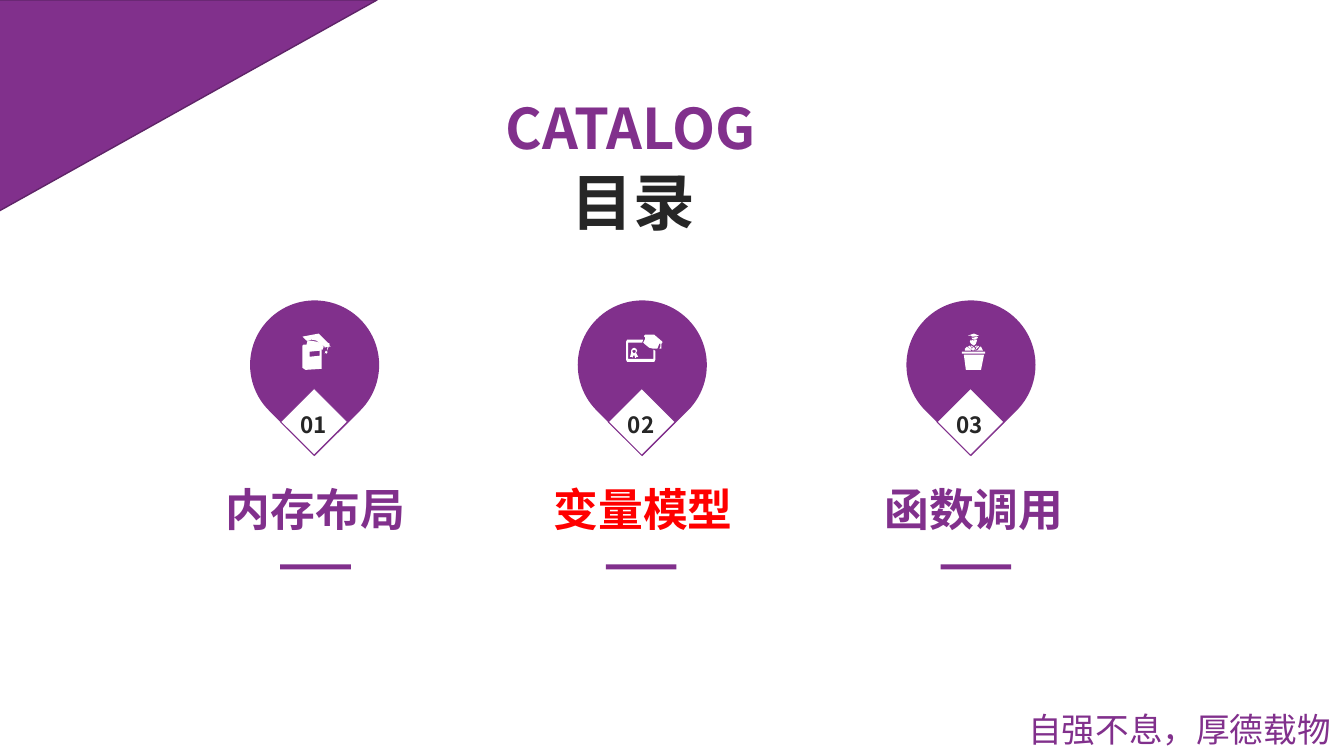
import pptx
import pptx.util
import pptx.dml.color
import pptx.enum.shapes
import pptx.enum.text
import pptx.oxml.ns
from lxml import etree

Inches = pptx.util.Inches
Kind = pptx.enum.shapes.MSO_SHAPE
Align = pptx.enum.text.PP_ALIGN


class Theme:
    font = "Noto Sans CJK SC"
    purple = "81308C"
    edge = "5F2468"
    dark = "262626"
    red = "FF0000"
    white = "FFFFFF"
    title, head, label, motto, number = 44, 40, 32, 24, 16


def write(shapes, box, text, size, color, bold=True, align=Align.LEFT, wrap=False):
    frame = shapes.add_textbox(*map(Inches, box)).text_frame
    frame.word_wrap = wrap
    frame.text = text
    para = frame.paragraphs[0]
    para.alignment = align
    run = para.runs[0]
    run.font.size = pptx.util.Pt(size)
    run.font.bold = bold
    run.font.color.rgb = pptx.dml.color.RGBColor.from_string(color)
    run.font.name = Theme.font
    etree.SubElement(run._r.get_or_add_rPr(), pptx.oxml.ns.qn("a:ea"), typeface=Theme.font)


def paint(shape, fill, line=None, width=1, turn=0):
    shape.shadow.inherit = False
    shape.rotation = turn
    shape.fill.solid()
    shape.fill.fore_color.rgb = pptx.dml.color.RGBColor.from_string(fill)
    if line:
        shape.line.color.rgb = pptx.dml.color.RGBColor.from_string(line)
        shape.line.width = pptx.util.Pt(width)
    else:
        shape.line.fill.background()


# Icon outlines, in hundredths of an inch on the slide
book = [
    [(317, 348), (307, 349), (307, 354), (317, 353)],
    [(304, 342), (308, 343), (312, 344), (318, 346), (319, 347), (319, 366),
     (303, 367), (300, 365), (300, 343), (301, 342)],
    [(305, 338), (308, 338), (314, 339), (318, 341), (321, 344), (320, 347),
     (312, 344), (304, 342)],
    [(316, 331), (325, 340), (327, 341), (327, 342), (326, 342), (328, 344),
     (326, 344), (324, 349), (325, 349), (324, 351), (323, 350), (322, 351),
     (323, 348), (324, 349), (325, 344), (322, 345), (322, 344), (314, 338),
     (309, 337), (304, 338), (300, 334)],
]
award = [
    [(629, 347), (627, 348), (628, 350), (630, 350), (631, 348)],
    [(629, 345), (631, 346), (632, 348), (631, 350), (633, 354), (631, 354),
     (631, 355), (630, 355), (629, 352), (627, 355), (627, 354), (625, 354),
     (626, 350), (626, 348), (627, 346)],
    [(622, 337), (638, 337), (637, 340), (623, 340), (623, 356), (648, 356),
     (648, 347), (650, 348), (650, 357), (649, 359), (622, 359), (621, 357),
     (621, 339)],
    [(640, 332), (649, 332), (650, 333), (657, 339), (657, 340), (656, 341),
     (656, 346), (654, 346), (655, 344), (655, 341), (654, 341), (652, 346),
     (648, 346), (644, 345), (639, 341), (638, 340), (640, 336), (640, 335),
     (639, 334), (639, 333)],
]
speaker = [
    [(956, 352), (976, 352), (973, 367), (958, 367)],
    [(954, 349), (977, 349), (977, 351), (954, 351)],
    [(966, 344), (967, 346), (966, 348), (964, 346)],
    [(972, 344), (973, 344), (974, 346), (975, 348), (968, 348), (970, 347)],
    [(959, 344), (963, 347), (963, 348), (957, 348), (957, 346)],
    [(970, 343), (971, 344), (969, 346), (967, 348), (968, 346)],
    [(962, 343), (965, 348), (960, 344)],
    [(969, 343), (968, 345), (967, 344), (968, 343)],
    [(963, 343), (964, 343), (965, 344), (964, 345)],
    [(963, 337), (964, 339), (964, 337), (966, 338), (967, 337), (969, 337),
     (969, 338), (968, 341), (966, 343), (963, 341), (962, 339)],
    [(969, 334), (970, 335), (969, 336), (966, 337), (964, 336), (964, 335),
     (963, 335), (966, 335)],
    [(966, 331), (971, 333), (966, 334), (964, 334), (963, 333), (960, 333)],
]

deck = pptx.Presentation()
deck.slide_width = Inches(13.33)
deck.slide_height = Inches(7.5)
shapes = deck.slides.add_slide(deck.slide_layouts[6]).shapes

# Corner and motto
corner = shapes.add_shape(Kind.RIGHT_TRIANGLE, Inches(0.81), Inches(-0.83),
                          Inches(2.1), Inches(3.76))
paint(corner, Theme.purple, Theme.edge, turn=90)
write(shapes, (10.1, 6.98, 3.24, 0.5), "自强不息，厚德载物", Theme.motto, Theme.purple,
      bold=False, wrap=True)

# Title
write(shapes, (5.57, 1.58, 1.44, 0.84), "目录", Theme.title, Theme.dark)
write(shapes, (4.92, 0.88, 2.87, 0.77), "CATALOG", Theme.head, Theme.purple)

# Chapters: pin left, label left, bar left, label, label colour, icon
chapters = [
    (2.48, 2.13, 2.78, "内存布局", Theme.purple, book),
    (5.73, 5.38, 6.01, "变量模型", Theme.red, award),
    (8.99, 8.66, 9.33, "函数调用", Theme.purple, speaker),
]
for count, (left, start, edge, name, color, icon) in enumerate(chapters, 1):
    # Pin with its number
    pin = shapes.add_group_shape().shapes
    drop = pin.add_shape(Kind.TEAR, Inches(left), Inches(2.98), Inches(1.28), Inches(1.28))
    paint(drop, Theme.purple, turn=135)
    tip = pin.add_shape(Kind.RECTANGLE, Inches(left + 0.4), Inches(3.95),
                        Inches(0.47), Inches(0.47))
    paint(tip, Theme.white, Theme.purple, 0.75, turn=45)
    write(pin, (left + 0.4, 4.03, 0.48, 0.37), f"{count:02}", Theme.number, Theme.dark)

    # Icon
    pen = pin.build_freeform(*icon[0][0], scale=Inches(0.01))
    pen.add_line_segments(icon[0][1:])
    for part in icon[1:]:
        pen.move_to(*part[0])
        pen.add_line_segments(part[1:])
    paint(pen.convert_to_shape(), Theme.white)

    # Label and bar
    write(shapes, (start, 4.73, 2, 0.64), name, Theme.label, color, align=Align.CENTER)
    bar = shapes.add_shape(Kind.RECTANGLE, Inches(edge), Inches(5.6), Inches(0.7), Inches(0.05))
    paint(bar, Theme.purple)

deck.save("out.pptx")
